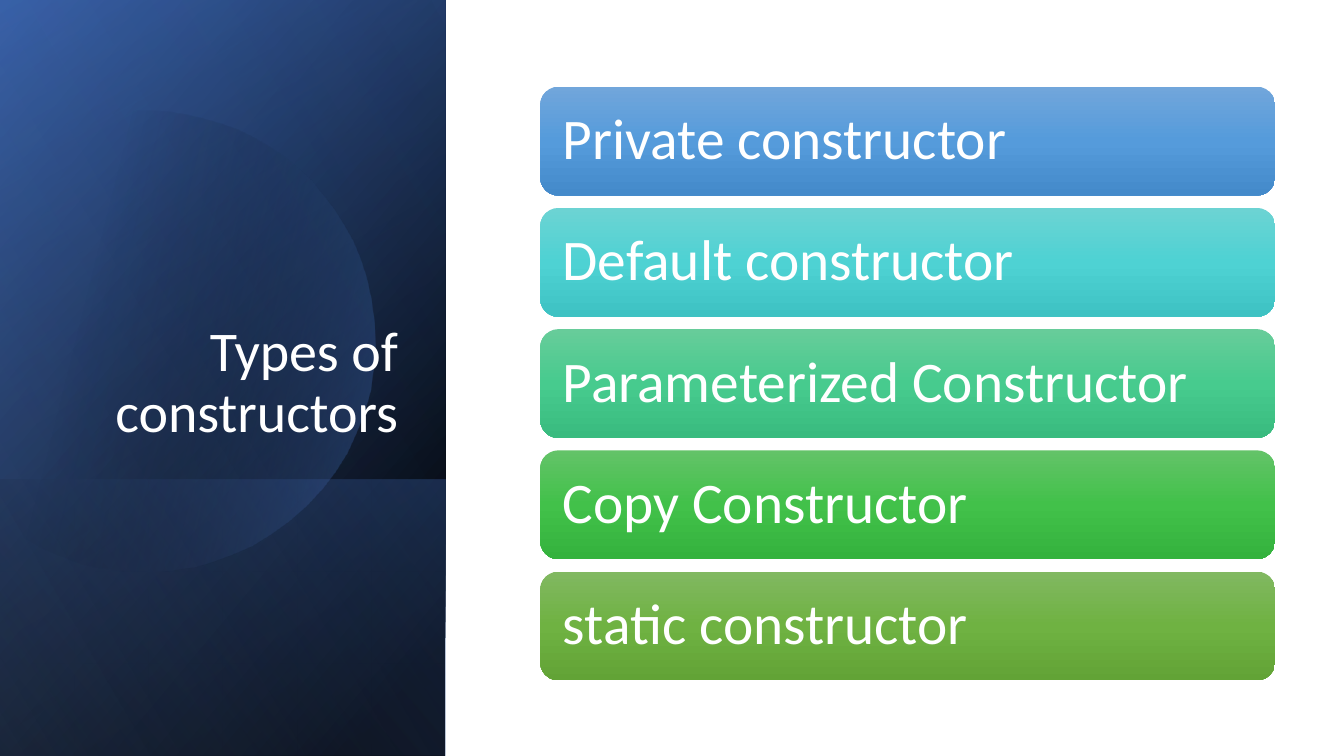
from pptx import Presentation, util as u
from pptx.enum import shapes as s, text as t
from pptx.dml.color import RGBColor
from pptx.oxml import parse_xml
from pptx.oxml.ns import nsdecls, qn

HEX = {"black": "000000", "navy": "2F5597", "blue": "4472C4",
       "pale": "8FAADC", "white": "FFFFFF"}
FONT = "Calibri"
TITLE = "Types of constructors"
CARDS = [
    ("Private constructor", ("71A6DB", "559BDB", "448ACA")),
    ("Default constructor", ("6CD3D3", "4ED2D3", "3EC2C3")),
    ("Parameterized Constructor", ("67CC9A", "47CB8E", "39BB7F")),
    ("Copy Constructor", ("63C368", "42C14A", "34B23D")),
    ("static constructor", ("81B861", "6FB242", "62A336")),
]
FULL = (-154, 154, 750, 442)
BASE = [
    (FULL, 50, [(8, "black", 100), (100, "navy", 100)]),
    (FULL, 30, [(0, "black", 0), (99, "blue", 46)]),
    ((84, 392, 274, 442), 130, [(2, "blue", 29), (100, "black", 30)]),
]
GLOW = (FULL, 120, [(0, "black", 0), (99, "pale", 11)])
DISC = [
    [(149, 110)],
    [(246, 112), (335, 177), (363, 275)],
    [(398, 397), (328, 523), (207, 558)],
    [(131, 580), (53, 561), (-3, 514)],
    [(-15, 503)],
    [(-15, 175)],
    [(0, 161)],
    [(23, 142), (50, 128), (80, 119)],
    [(103, 113), (126, 110), (149, 110)],
]
DISC_FILL = (14, [(29, "black", 0), (100, "blue", 43)])
TITLE_BOX = (64, 184, 341, 262)
LEFT, TOP, WIDE, TALL, END = 536, 86, 729, 108, 675
PAD = 17
STEPS = 16
SCALE = 9144


def px(n):
    return u.Emu(round(n * SCALE))


def shade(shape, angle, stops):
    marks = "".join(
        f'<a:gs pos="{pos * 1000}"><a:srgbClr val="{HEX.get(tone, tone)}">'
        f'<a:alpha val="{alpha * 1000}"/></a:srgbClr></a:gs>'
        for pos, tone, alpha in stops)
    grad = parse_xml(
        f'<a:gradFill {nsdecls("a")} rotWithShape="1"><a:gsLst>{marks}</a:gsLst>'
        f'<a:lin ang="{angle * 60000}" scaled="0"/></a:gradFill>')
    shape.shadow.inherit = False
    shape.line.fill.background()
    shape.fill.background()
    props = shape.element.spPr
    props.replace(props.find(qn("a:noFill")), grad)


def layer(slide, box, angle, stops):
    rect = slide.shapes.add_shape(s.MSO_SHAPE.RECTANGLE, *map(px, box))
    rect.rotation = 90
    rect.element.spPr.find(qn("a:xfrm")).set("flipH", "1")
    shade(rect, angle, stops)


def curve(start, one, two, end):
    for step in range(1, STEPS + 1):
        k = step / STEPS
        yield tuple(
            (1 - k) ** 3 * a + 3 * k * (1 - k) ** 2 * b
            + 3 * k * k * (1 - k) * c + k ** 3 * d
            for a, b, c, d in zip(start, one, two, end))


def disc(slide):
    pen = DISC[0][0]
    dots = []
    for part in DISC[1:]:
        dots += curve(pen, *part) if len(part) == 3 else part
        pen = part[-1]
    form = slide.shapes.build_freeform(*DISC[0][0], scale=SCALE)
    form.add_line_segments(dots, close=True)
    shade(form.convert_to_shape(), *DISC_FILL)


def write(shape, words, size, align, anchor):
    frame = shape.text_frame
    frame.word_wrap = True
    frame.auto_size = t.MSO_AUTO_SIZE.NONE
    frame.vertical_anchor = anchor
    para = frame.paragraphs[0]
    para.alignment = align
    para.line_spacing = 0.9
    run = para.add_run()
    run.text = words
    run.font.name = FONT
    run.font.size = u.Pt(size)
    run.font.color.rgb = RGBColor.from_string(HEX["white"])


def cards(slide):
    pitch = (END - TOP - TALL) / (len(CARDS) - 1)
    for row, (words, tones) in enumerate(CARDS):
        box = (LEFT, TOP + row * pitch, WIDE, TALL)
        card = slide.shapes.add_shape(s.MSO_SHAPE.ROUNDED_RECTANGLE, *map(px, box))
        shade(card, 90, [(50 * i, tone, 100) for i, tone in enumerate(tones)])
        frame = card.text_frame
        frame.margin_left = frame.margin_right = px(PAD)
        frame.margin_top = frame.margin_bottom = px(PAD)
        write(card, words, 41, t.PP_ALIGN.LEFT, t.MSO_ANCHOR.MIDDLE)


def main():
    deck = Presentation()
    deck.slide_width, deck.slide_height = u.Emu(12192000), px(750)
    slide = deck.slides.add_slide(deck.slide_layouts[5])
    for part in BASE:
        layer(slide, *part)
    disc(slide)
    layer(slide, *GLOW)
    title = slide.shapes.title
    title.left, title.top, title.width, title.height = map(px, TITLE_BOX)
    write(title, TITLE, 40, t.PP_ALIGN.RIGHT, t.MSO_ANCHOR.BOTTOM)
    title.element.getparent().append(title.element)
    cards(slide)
    deck.save("out.pptx")


if __name__ == "__main__":
    main()
